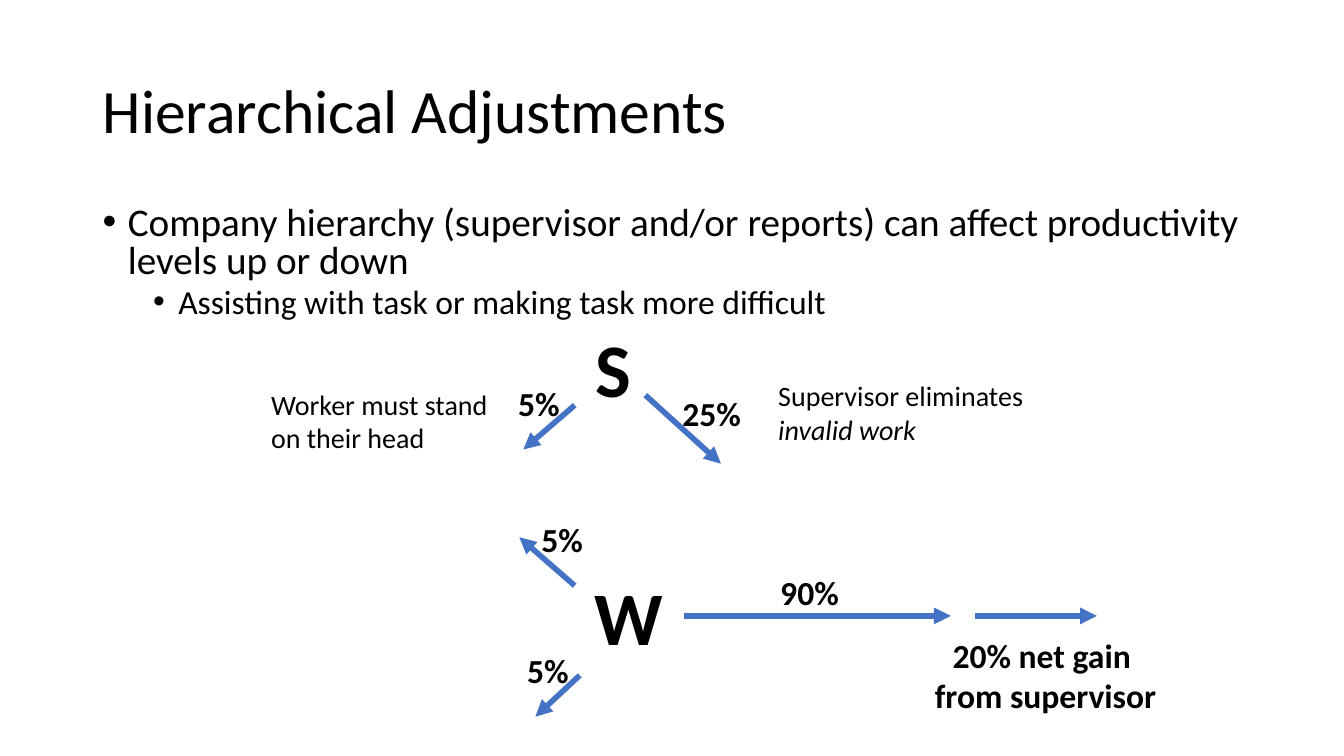
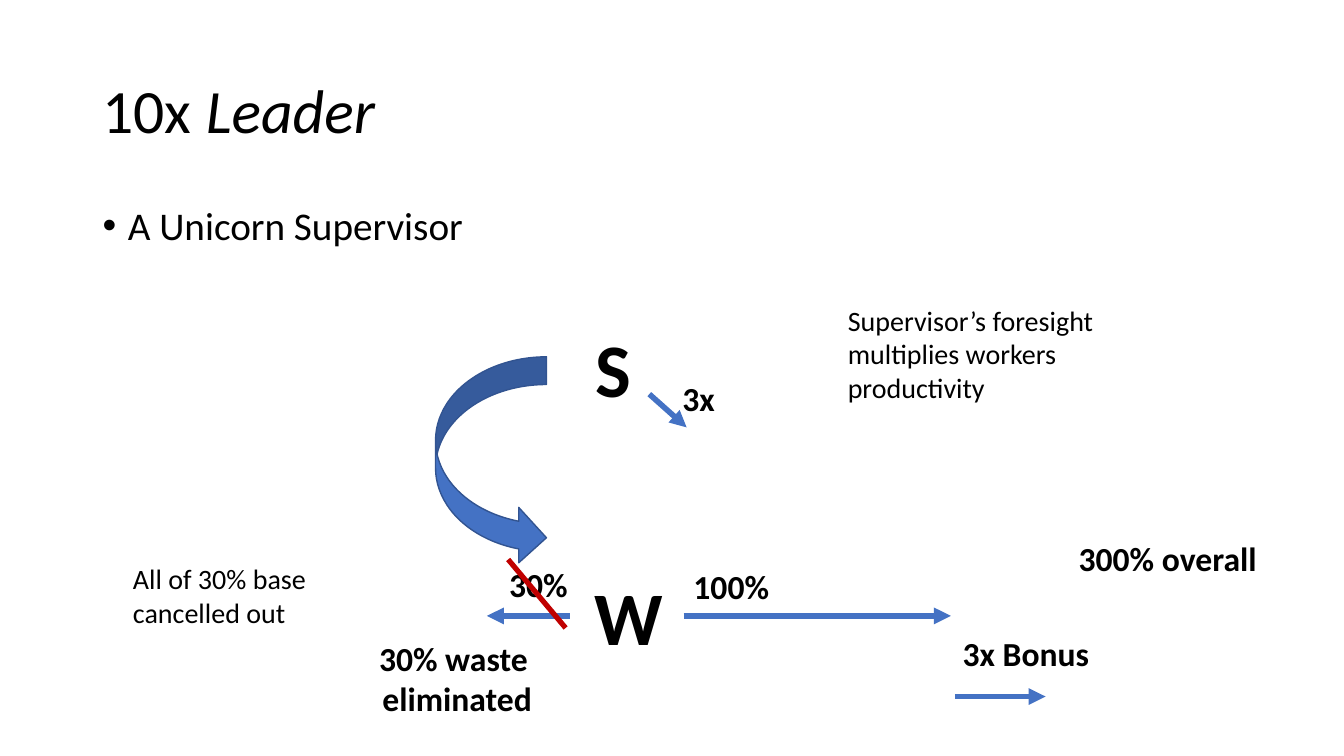
from lxml.etree import SubElement
from pptx import Presentation
from pptx.dml.color import RGBColor
from pptx.enum.shapes import MSO_CONNECTOR, MSO_SHAPE
from pptx.enum.text import MSO_ANCHOR, MSO_AUTO_SIZE, PP_ALIGN
from pptx.oxml.ns import qn
from pptx.util import Inches, Pt

# Lengths are columns and rows of a grid with cells one inch square.
COLUMNS, ROWS = 13.33, 7.5
FONT, INK, BLUE, EDGE, RED = "Calibri", "000000", "4472C4", "325491", "C00000"
MARGIN, CONTENT_WIDTH = 0.92, 11.5
TITLE_AREA = (MARGIN, 0.4, CONTENT_WIDTH, 1.45)
BODY_AREA = (MARGIN, 2, CONTENT_WIDTH, 1.27)
BASELINE = 6.11
LINE_HEIGHT, PADDING = 1.2, 0.1

TEXT_STYLES = {
    "title": ({"size": Pt(44)}, {"line_spacing": 0.9}),
    "node": ({"size": Pt(54), "bold": True}, {"alignment": PP_ALIGN.CENTER}),
    "value": ({"size": Pt(24), "bold": True}, {}),
    "result": ({"size": Pt(24), "bold": True}, {"alignment": PP_ALIGN.CENTER}),
    "note": ({"size": Pt(20)}, {}),
}
# Bullet level: text size, indent, space before
BULLETS = [(28, 0.25, 10), (24, 0.75, 5)]
HANGING = 0.25

# Labels: style, text (italics between asterisks), left, top, width
# Arrows: start x, start y, tip x, tip y
SHARED_LABELS = [
    ("node", "W", 5.79, 5.6, 0.89),
    ("node", "S", 5.7, 3.14, 0.76),
]
SHARED_ARROWS = [(6.78, BASELINE, 9.43, BASELINE)]

SLIDES = [
    {
        "title": "Hierarchical Adjustments",
        "bullets": [
            (0, "Company hierarchy (supervisor and/or reports) can affect "
                "productivity levels up or down"),
            (1, "Assisting with task or making task more difficult"),
        ],
        "bullet_spacing": 0.8,
        "arrows": [
            (5.7, 5.81, 5.15, 5.33),
            (5.75, 6.7, 5.31, 7.11),
            (6.4, 3.92, 7.15, 4.6),
            (5.7, 4.02, 5.19, 4.46),
            (9.67, BASELINE, 10.88, BASELINE),
        ],
        "curved_arrows": [],
        "strikes": [],
        "labels": [
            ("value", "90%", 7.64, 5.62, 0.79),
            ("value", "5%", 5.27, 5.1, 0.62),
            ("value", "5%", 5.13, 6.4, 0.62),
            ("value", "25%", 6.67, 3.85, 0.79),
            ("value", "5%", 5.04, 3.75, 0.62),
            ("result", "20% net gain \vfrom supervisor", 9.16, 6.25, 2.42),
            ("note", "Worker must stand \von their head", 2.59, 3.79, 2.43),
            ("note", "Supervisor eliminates\v*invalid work*", 7.62, 3.71, 2.66),
        ],
    },
    {
        "title": "10x *Leader*",
        "bullets": [(0, "A Unicorn Supervisor")],
        "bullet_spacing": 0.9,
        "arrows": [
            (5.65, BASELINE, 4.83, BASELINE),
            (9.47, 6.91, 10.37, 6.91),
            (6.44, 3.91, 6.81, 4.24),
        ],
        "curved_arrows": [(4.32, 3.54, 1.1, 2.07)],
        "strikes": [(5.04, 5.55, 5.61, 6.23)],
        "labels": [
            ("value", "100%", 6.78, 5.57, 0.96),
            ("value", "30%", 4.95, 5.55, 0.79),
            ("result", "3x Bonus", 9.44, 6.23, 1.47),
            ("value", "3x", 6.67, 3.7, 0.53),
            ("result", "30% waste \veliminated", 3.65, 6.28, 1.77),
            ("value", "300% overall", 10.6, 5.29, 1.98),
            ("note", "Supervisor’s foresight \vmultiplies workers \vproductivity",
             8.31, 2.96, 2.72),
            ("note", "All of 30% base\vcancelled out", 1.22, 5.52, 1.93),
        ],
    },
]


def color(hex_code):
    """Turn a hex string into a colour."""
    return RGBColor.from_string(hex_code)


def cells(lengths):
    """Turn grid lengths into slide lengths."""
    return [Inches(length) for length in lengths]


def apply(target, values):
    """Set each attribute in values on target."""
    for attribute, value in values.items():
        setattr(target, attribute, value)


def write(paragraph, text, font_values, paragraph_values):
    """Write text with asterisk italics and line breaks into a paragraph."""
    apply(paragraph, paragraph_values)
    for part, words in enumerate(text.split("*")):
        for row, line in enumerate(words.split("\v")):
            if row:
                paragraph.add_line_break()
            if line:
                run = paragraph.add_run()
                run.text = line
                apply(run.font, {"name": FONT, "italic": part % 2 == 1, **font_values})
                run.font.color.rgb = color(INK)


def add_frame(slide, area, **values):
    """Add a text box and return its text frame."""
    frame = slide.shapes.add_textbox(*cells(area)).text_frame
    apply(frame, {"word_wrap": True, "auto_size": MSO_AUTO_SIZE.NONE, **values})
    return frame


def add_title(slide, title):
    """Add the slide title."""
    frame = add_frame(slide, TITLE_AREA, vertical_anchor=MSO_ANCHOR.MIDDLE)
    write(frame.paragraphs[0], title, *TEXT_STYLES["title"])


def add_bullets(slide, bullets, spacing):
    """Add the bulleted body text."""
    frame = add_frame(slide, BODY_AREA)
    for row, (level, text) in enumerate(bullets):
        paragraph = frame.add_paragraph() if row else frame.paragraphs[0]
        size, indent, before = BULLETS[level]
        write(paragraph, text, {"size": Pt(size)},
              {"level": level, "line_spacing": spacing, "space_before": Pt(before)})
        properties = paragraph._p.get_or_add_pPr()
        properties.set("marL", str(Inches(indent)))
        properties.set("indent", str(-Inches(HANGING)))
        SubElement(properties, qn("a:buFont"), typeface="Arial")
        SubElement(properties, qn("a:buChar"), char="•")


def add_label(slide, style, text, left, top, width):
    """Add a label whose height follows from its lines of text."""
    font_values, paragraph_values = TEXT_STYLES[style]
    lines = text.count("\v") + 1
    height = lines * font_values["size"].inches * LINE_HEIGHT + PADDING
    frame = add_frame(slide, (left, top, width, height), word_wrap=False,
                      auto_size=MSO_AUTO_SIZE.SHAPE_TO_FIT_TEXT)
    write(frame.paragraphs[0], text, font_values, paragraph_values)


def add_line(slide, ends, hex_code, weight, tip=False):
    """Add a straight line, with an arrowhead at its end if tip is set."""
    connector = slide.shapes.add_connector(MSO_CONNECTOR.STRAIGHT, *cells(ends))
    connector.line.color.rgb = color(hex_code)
    connector.line.width = Pt(weight)
    if tip:
        SubElement(connector.line._get_or_add_ln(), qn("a:tailEnd"), type="triangle")
    SubElement(connector._element.spPr, qn("a:effectLst"))


def add_curved_arrow(slide, area):
    """Add the curved arrow from supervisor to worker."""
    arrow = slide.shapes.add_shape(MSO_SHAPE.CURVED_RIGHT_ARROW, *cells(area))
    arrow.shadow.inherit = False
    arrow.fill.solid()
    arrow.fill.fore_color.rgb = color(BLUE)
    arrow.line.color.rgb = color(EDGE)
    arrow.line.width = Pt(1)


def build_slide(deck, content):
    """Build one slide from its content."""
    slide = deck.slides.add_slide(deck.slide_layouts[6])
    add_title(slide, content["title"])
    add_bullets(slide, content["bullets"], content["bullet_spacing"])
    for ends in SHARED_ARROWS + content["arrows"]:
        add_line(slide, ends, BLUE, 4, tip=True)
    for label in SHARED_LABELS + content["labels"]:
        add_label(slide, *label)
    for area in content["curved_arrows"]:
        add_curved_arrow(slide, area)
    for ends in content["strikes"]:
        add_line(slide, ends, RED, 3.75)


deck = Presentation()
apply(deck, {"slide_width": Inches(COLUMNS), "slide_height": Inches(ROWS)})
for content in SLIDES:
    build_slide(deck, content)
deck.save("out.pptx")
